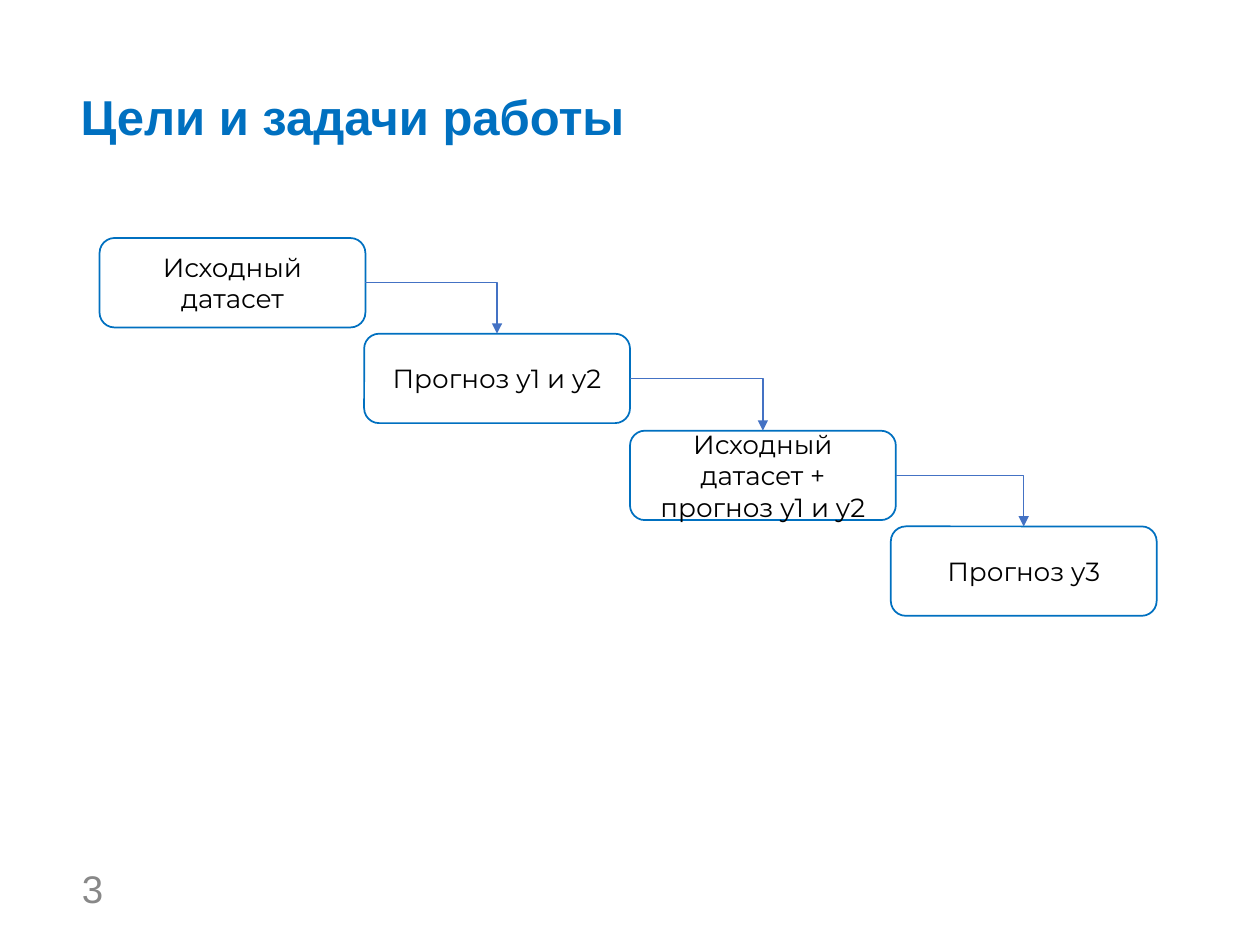
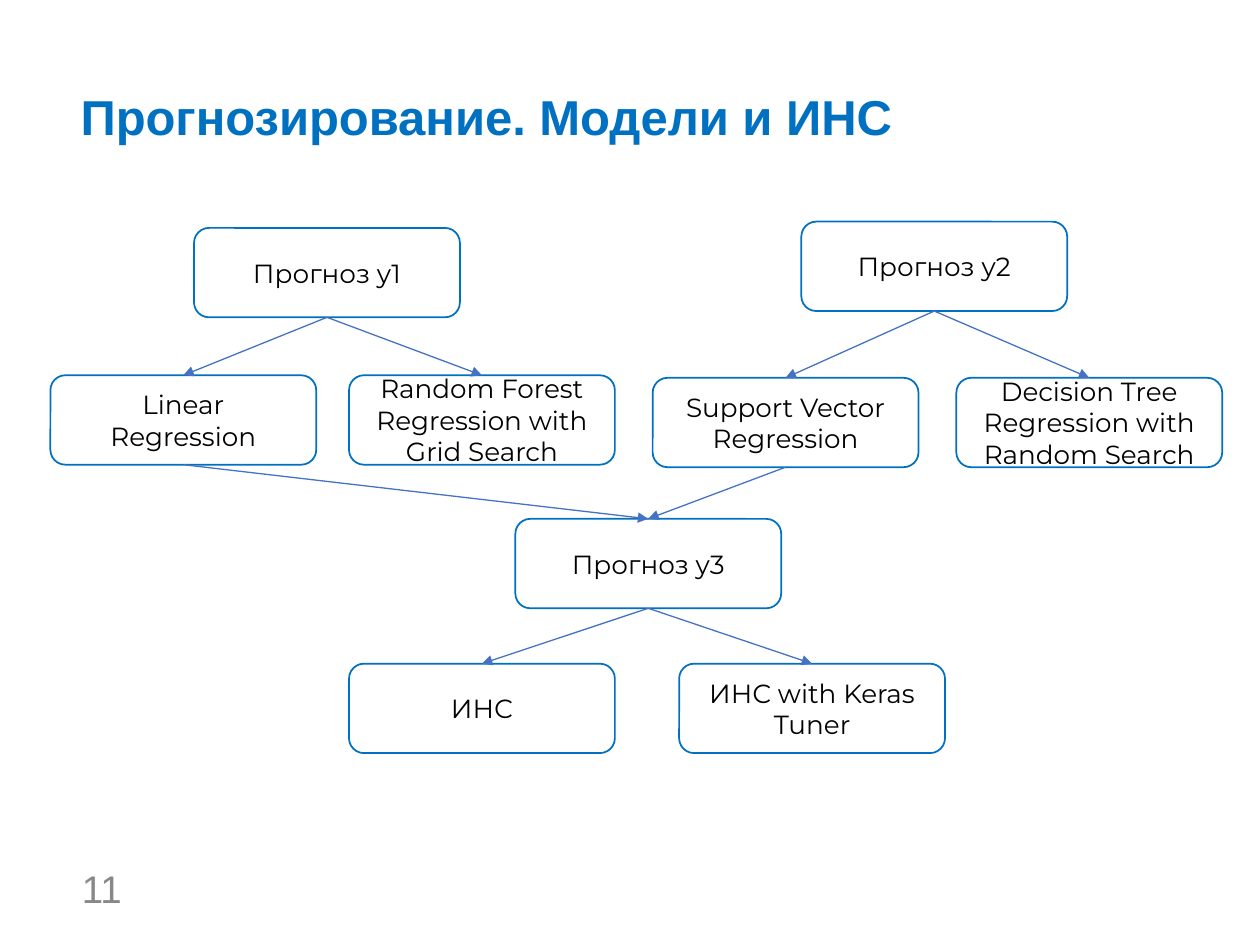
from lxml.etree import SubElement
from pptx import Presentation
from pptx.dml.color import RGBColor
from pptx.enum.shapes import MSO_CONNECTOR, MSO_SHAPE
from pptx.enum.text import MSO_ANCHOR, MSO_AUTO_SIZE, PP_ALIGN
from pptx.oxml.ns import qn
from pptx.util import Inches, Pt

# Shared style
BLUE, ARROW_BLUE, GREY, BLACK, WHITE = "0070C0", "4472C4", "888888", "000000", "FFFFFF"
BOX_W, BOX_H = 2.11, 0.71
TOP, BOTTOM, RIGHT = 0, 2, 3  # connection sites of a rounded rectangle


def color(hex_value):
    return RGBColor.from_string(hex_value)


def write(shape, text, size, fill, font="Arial", bold=False, align=PP_ALIGN.LEFT,
          anchor=MSO_ANCHOR.MIDDLE, inset=(0.08, 0.04), spacing=1.0):
    frame = shape.text_frame
    frame.text = text
    frame.word_wrap = True
    frame.auto_size = MSO_AUTO_SIZE.NONE
    frame.vertical_anchor = anchor
    frame.margin_left = frame.margin_right = Inches(inset[0])
    frame.margin_top = frame.margin_bottom = Inches(inset[1])
    paragraph = frame.paragraphs[0]
    paragraph.alignment = align
    paragraph.line_spacing = spacing
    run_font = paragraph.runs[0].font
    run_font.name, run_font.size, run_font.bold = font, Pt(size), bold
    run_font.color.rgb = color(fill)


# Content: boxes as key -> (text, left, top), arrows as (from, to)
pages = [
    {
        "title": "Цели и задачи работы",
        "number": "3",
        "stepped": True,
        "boxes": {
            "dataset": ("Исходный датасет", 0.79, 1.89),
            "y1_y2": ("Прогноз y1 и y2", 2.89, 2.65),
            "extended": ("Исходный датасет + прогноз y1 и y2", 5, 3.42),
            "y3": ("Прогноз y3", 7.07, 4.18),
        },
        "arrows": [("dataset", "y1_y2"), ("y1_y2", "extended"), ("extended", "y3")],
    },
    {
        "title": "Прогнозирование. Модели и ИНС",
        "number": "11",
        "stepped": False,
        "boxes": {
            "y1": ("Прогноз y1", 1.54, 1.81),
            "linear": ("Linear Regression", 0.4, 2.98),
            "forest": ("Random Forest Regression with Grid Search", 2.77, 2.98),
            "vector": ("Support Vector Regression", 5.18, 3),
            "tree": ("Decision Tree Regression with Random Search", 7.59, 3),
            "y2": ("Прогноз y2", 6.36, 1.76),
            "y3": ("Прогноз y3", 4.09, 4.12),
            "network": ("ИНС", 2.77, 5.27),
            "tuner": ("ИНС with Keras Tuner", 5.39, 5.27),
        },
        "arrows": [("y1", "linear"), ("y1", "forest"), ("y2", "vector"), ("y2", "tree"),
                   ("y3", "network"), ("y3", "tuner"), ("linear", "y3"), ("vector", "y3")],
    },
]

deck = Presentation()
deck.slide_width, deck.slide_height = Inches(10), Inches(7.48)

for page in pages:
    slide = deck.slides.add_slide(deck.slide_layouts[5])

    # Title and page number
    title = slide.shapes.title
    title.left, title.top = Inches(0.56), Inches(0.52)
    title.width, title.height = Inches(8.63), Inches(0.68)
    write(title, page["title"], 28, BLUE, bold=True, anchor=MSO_ANCHOR.BOTTOM, spacing=0.9)
    number = slide.shapes.add_textbox(Inches(0.57), Inches(6.85), Inches(0.66), Inches(0.4))
    write(number, page["number"], 22, GREY)

    # Boxes
    boxes = {}
    for key, (label, left, top) in page["boxes"].items():
        box = slide.shapes.add_shape(MSO_SHAPE.ROUNDED_RECTANGLE, Inches(left), Inches(top),
                                     Inches(BOX_W), Inches(BOX_H))
        box.shadow.inherit = False
        box.fill.solid()
        box.fill.fore_color.rgb = color(WHITE)
        box.line.color.rgb = color(BLUE)
        box.line.width = Pt(1)
        write(box, label, 15, BLACK, font="Montserrat", align=PP_ALIGN.CENTER, inset=(0.1, 0.05))
        boxes[key] = box

    # Arrows: steps leave from the right side, tree branches from the bottom
    bend = MSO_CONNECTOR.ELBOW if page["stepped"] else MSO_CONNECTOR.STRAIGHT
    for source, target in page["arrows"]:
        arrow = slide.shapes.add_connector(bend, 0, 0, 0, 0)
        arrow.begin_connect(boxes[source], RIGHT if page["stepped"] else BOTTOM)
        arrow.end_connect(boxes[target], TOP)
        arrow.line.color.rgb = color(ARROW_BLUE)
        arrow.line.width = Pt(0.75)
        properties = arrow._element.spPr
        if page["stepped"]:
            properties.find(qn("a:prstGeom")).set("prst", "bentConnector2")
        SubElement(properties.find(qn("a:ln")), qn("a:tailEnd"), type="triangle")
        SubElement(properties, qn("a:effectLst"))

deck.save("out.pptx")
